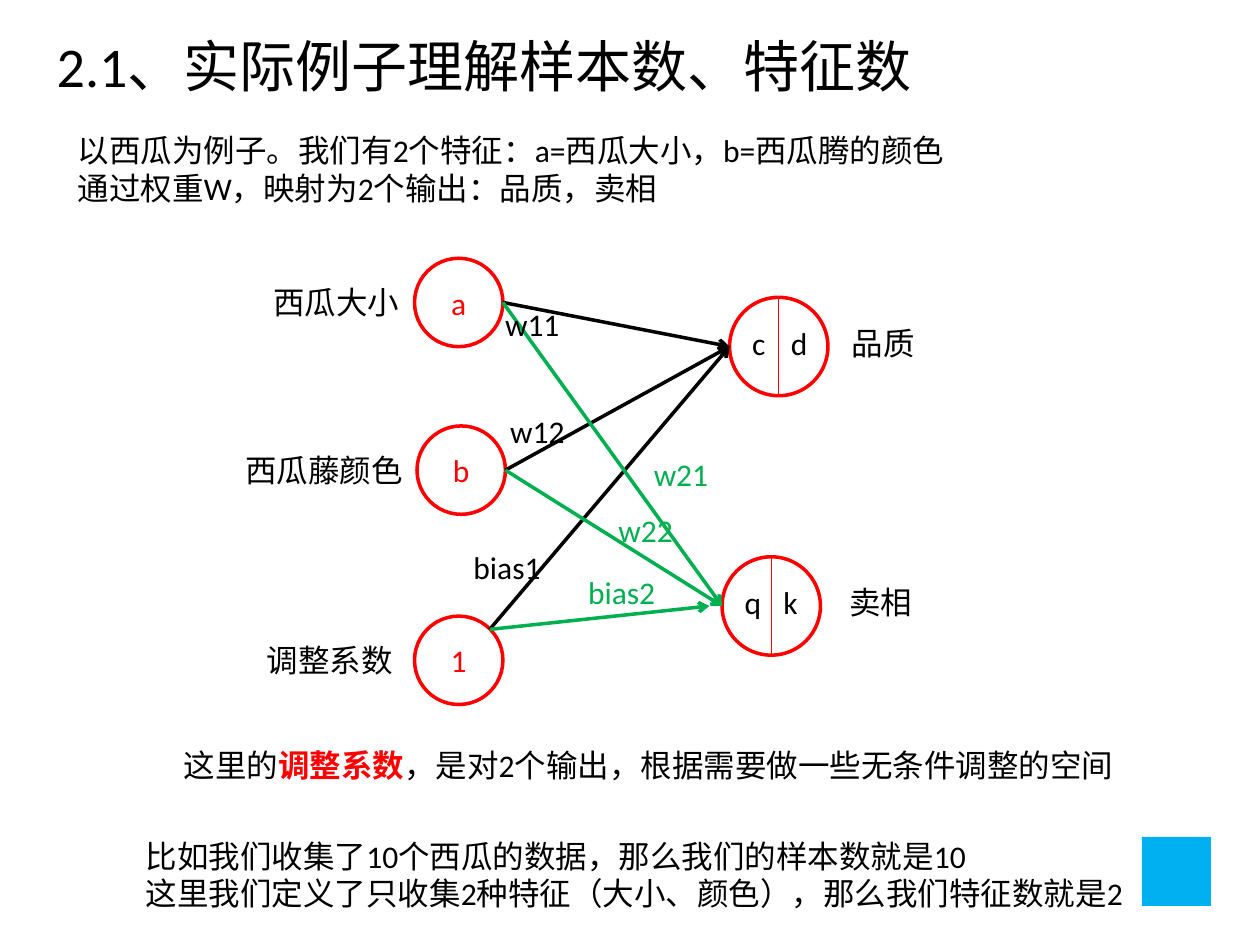
"""Build the slide on sample counts and feature counts with a small network diagram."""
import pptx
import pptx.dml.color
import pptx.enum.shapes
import pptx.enum.text
import pptx.oxml
import pptx.oxml.ns
import pptx.util

Pt = pptx.util.Pt
BLACK, RED, GREEN, BLUE = "000000", "FF0000", "00B050", "00B0F0"


def paint(target, colour):
    if hasattr(target, "solid"):
        target.solid()
        target = target.fore_color
    elif hasattr(target, "color"):
        target = target.color
    target.rgb = pptx.dml.color.RGBColor.from_string(colour)


def write(shape, lines, colour=BLACK, size=18, wrap=True):
    frame = shape.text_frame
    frame.text = "\n".join(lines)
    frame.word_wrap = wrap
    for paragraph in frame.paragraphs:
        paragraph.font.name = "Calibri"
        paragraph.font.size = Pt(size)
        paint(paragraph.font.color, colour)
    return frame


presentation = pptx.Presentation()
presentation.slide_width, presentation.slide_height = Pt(720), Pt(540)
slide = presentation.slides.add_slide(presentation.slide_layouts[5])
shapes = slide.shapes

square = shapes.add_shape(
    pptx.enum.shapes.MSO_SHAPE.RECTANGLE, Pt(652.5), Pt(478.2), Pt(39.5), Pt(39.5)
)
square.shadow.inherit = False
paint(square.fill, BLUE)
square.line.fill.background()

title = shapes.title
title.left, title.top, title.width, title.height = Pt(25.2), Pt(14.4), Pt(524), Pt(46)
title_frame = write(title, ["2.1、实际例子理解样本数、特征数"], size=32)
title_frame.auto_size = pptx.enum.text.MSO_AUTO_SIZE.NONE
title_frame.vertical_anchor = pptx.enum.text.MSO_ANCHOR.TOP
title_frame.paragraphs[0].alignment = pptx.enum.text.PP_ALIGN.LEFT

input_size, output_size = 50.5, 56.2
inputs = {"a": (236.9, 147.6), "b": (238.3, 243.4), "1": (236.9, 352.1)}
outputs = {"cd": (416.9, 169.9), "qk": (412.6, 318.2)}
circles = [(text, *place, input_size) for text, place in inputs.items()]
circles += [("", *place, output_size) for place in outputs.values()]
for text, left, top, size in circles:
    circle = shapes.add_shape(
        pptx.enum.shapes.MSO_SHAPE.OVAL, Pt(left), Pt(top), Pt(size), Pt(size)
    )
    circle.shadow.inherit = False
    circle.fill.background()
    paint(circle.line, RED)
    circle.line.width = Pt(2)
    if text:
        frame = write(circle, [text], RED)
        frame.vertical_anchor = pptx.enum.text.MSO_ANCHOR.MIDDLE
        frame.paragraphs[0].alignment = pptx.enum.text.PP_ALIGN.CENTER

starts = [(left + input_size, top + input_size / 2) for left, top in inputs.values()]
bias_left, bias_top = inputs["1"]
starts[2] = (bias_left + input_size * 0.85, bias_top + input_size * 0.15)
lines = []
for (left, top), colour, bias_gap in zip(outputs.values(), (BLACK, GREEN), (0, 7.2)):
    centre, middle = left + output_size / 2, top + output_size / 2
    for start, gap in zip(starts, (0, 0, bias_gap)):
        lines.append((start, (left - gap, middle), colour, 2))
    lines.append(((centre, top), (centre, top + output_size), RED, 0.75))

for start, end, colour, width in lines:
    connector = shapes.add_connector(
        pptx.enum.shapes.MSO_CONNECTOR.STRAIGHT, *map(Pt, start + end)
    )
    paint(connector.line, colour)
    connector.line.width = Pt(width)
    if colour != RED:
        arrow = pptx.oxml.parse_xml(
            f'<a:tailEnd {pptx.oxml.ns.nsdecls("a")} type="arrow"/>'
        )
        connector.line.fill
        connector.line._get_or_add_ln().append(arrow)
    effects = pptx.oxml.parse_xml(f'<a:effectLst {pptx.oxml.ns.nsdecls("a")}/>')
    connector._element.spPr.append(effects)

labels = [
    ("w11", 281.5, 170.6, 46, BLACK),
    ("w12", 284.4, 231.8, 46, BLACK),
    ("bias1", 263.5, 309.6, 53.3, BLACK),
    ("w21", 366.5, 256.3, 46, GREEN),
    ("w22", 346.3, 288.7, 46, GREEN),
    ("bias2", 329, 324, 53.3, GREEN),
    ("西瓜大小", 149, 158.4, 87, BLACK),
    ("西瓜藤颜色", 133.2, 254.2, 105, BLACK),
    ("调整系数", 145.4, 362.9, 87, BLACK),
    ("品质", 479.5, 181.4, 51, BLACK),
    ("卖相", 478.1, 329.8, 51, BLACK),
]
for (first, second), (left, top) in outputs.items():
    labels.append((first, left + 5.8, top + 11.5, 23.5, BLACK))
    labels.append((second, left + 28, top + 11.5, 23.5, BLACK))
for text, left, top, width, colour in labels:
    label = shapes.add_textbox(Pt(left), Pt(top), Pt(width), Pt(29))
    write(label, [text], colour, wrap=False)

passages = [
    (37.4, 71.3, 515, 51, [
        "以西瓜为例子。我们有2个特征：a=西瓜大小，b=西瓜腾的颜色",
        "通过权重W，映射为2个输出：品质，卖相",
    ]),
    (97.9, 422.6, 569, 29, ["这里的"]),
    (76.3, 474.5, 578, 51, [
        "比如我们收集了10个西瓜的数据，那么我们的样本数就是10",
        "这里我们定义了只收集2种特征（大小、颜色），那么我们特征数就是2",
    ]),
]
frames = []
for left, top, width, height, texts in passages:
    passage = shapes.add_textbox(Pt(left), Pt(top), Pt(width), Pt(height))
    frames.append(write(passage, texts))

bias_note = frames[1].paragraphs[0]
keyword = bias_note.add_run()
keyword.text = "调整系数"
keyword.font.bold = True
paint(keyword.font.color, RED)
bias_note.add_run().text = "，是对2个输出，根据需要做一些无条件调整的空间"

presentation.save("out.pptx")
